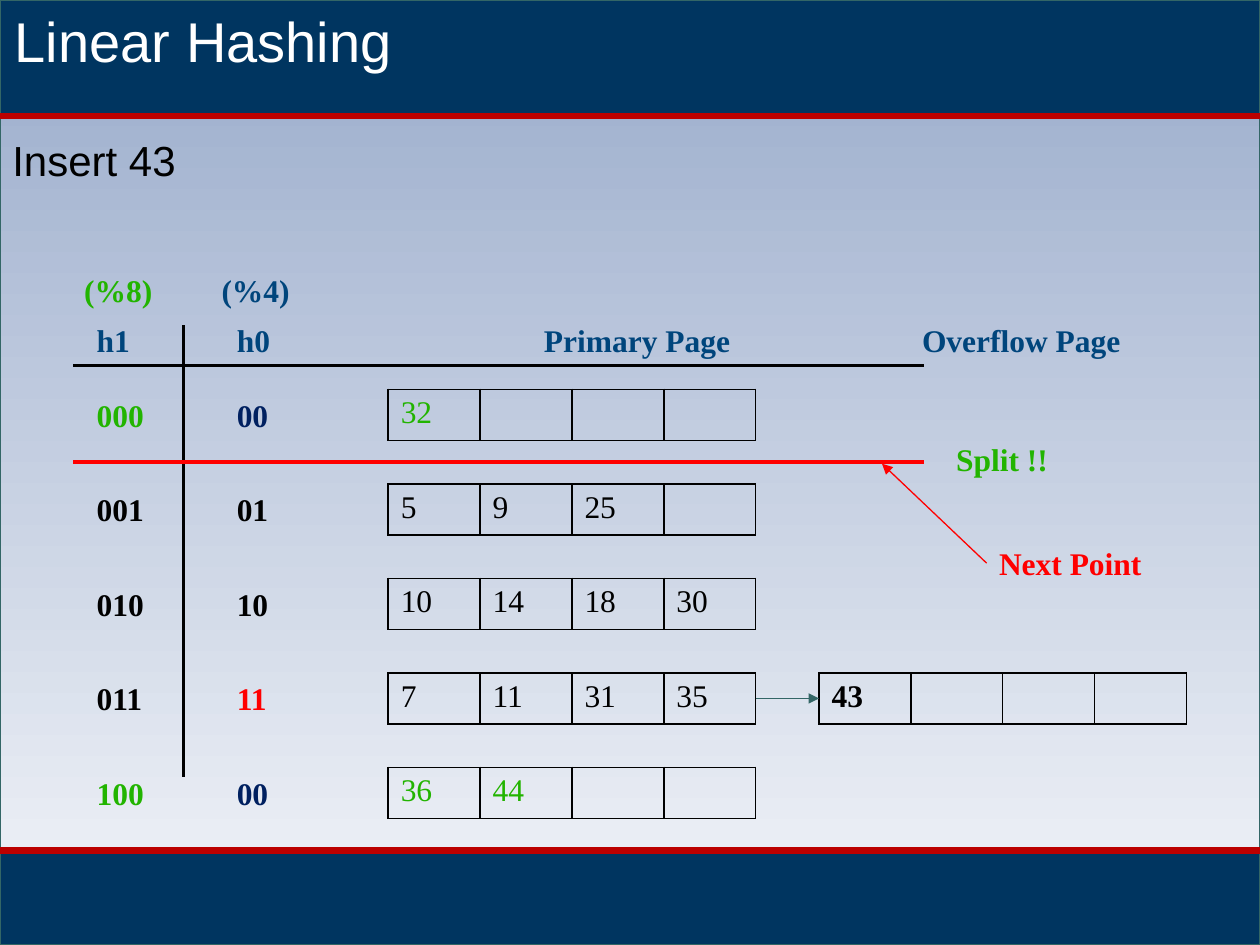
from pptx import Presentation
from pptx.util import Pt
from pptx.dml.color import RGBColor
from pptx.enum.shapes import MSO_SHAPE as Shape, MSO_CONNECTOR as Conn
from pptx.enum.text import MSO_AUTO_SIZE as Auto
from pptx.oxml import parse_xml
from pptx.oxml.ns import nsdecls

NAVY, RULE, EDGE = "003560", "BC0000", "336666"
BLACK, RED, GREEN, BLUE, DEEP = "000000", "FF0000", "22B400", "00457C", "002060"
SERIF, SANS = "Times New Roman", "Arial"

# Content: h1, colour, h0, colour, page keys, colour
BUCKETS = [
    ("000", GREEN, "00", DEEP, ["32"], GREEN),
    ("001", BLACK, "01", BLACK, ["5", "9", "25"], BLACK),
    ("010", BLACK, "10", BLACK, ["10", "14", "18", "30"], BLACK),
    ("011", BLACK, "11", RED, ["7", "11", "31", "35"], BLACK),
    ("100", GREEN, "00", DEEP, ["36", "44"], GREEN),
]
OVER_ROW, OVER_KEYS = 3, ["43"]
# Labels: text, left, top, width, colour
LABELS = [
    ("(%8)", 41, 151.2, 54, GREEN),
    ("(%4)", 119.5, 151.2, 54, BLUE),
    ("h1", 48.2, 180, 34, BLUE),
    ("h0", 128.2, 180, 34, BLUE),
    ("Primary Page", 303.8, 180, 122.4, BLUE),
    ("Overflow Page", 519.8, 180, 133.2, BLUE),
    ("Split !!", 539.3, 247.7, 67.7, GREEN),
    ("Next Point", 563.8, 307.4, 96.5, RED),
]

# Grid
WIDE, HIGH = 720, 540
HEAD, FOOT = 66.2, 486
H1, H0, PAGE, OVER = 48.2, 128.2, 221.8, 468
TOP, STEP = 222.5, 54
SLOTS, CELL, TALL = 4, 52.5, 29.2

prs = Presentation()
prs.slide_width, prs.slide_height = Pt(WIDE), Pt(HIGH)
slide = prs.slides.add_slide(prs.slide_layouts[6])
shapes = slide.shapes


def color(code):
    return RGBColor.from_string(code)


def style(para, text, size=18, font=SERIF, ink=BLACK, bold=False):
    run = para.add_run()
    run.text = text
    run.font.size, run.font.name, run.font.bold = Pt(size), font, bold
    run.font.color.rgb = color(ink)


def write(text, x, y, w, h=28.8, wrap=False, **form):
    frame = shapes.add_textbox(Pt(x), Pt(y), Pt(w), Pt(h)).text_frame
    frame.word_wrap = wrap
    frame.auto_size = Auto.SHAPE_TO_FIT_TEXT
    style(frame.paragraphs[0], text, **form)


def band(y, h, fill=None):
    box = shapes.add_shape(Shape.RECTANGLE, 0, Pt(y), Pt(WIDE), Pt(h))
    box.shadow.inherit = False
    box.line.color.rgb, box.line.width = color(EDGE), Pt(0.75)
    if fill:
        box.fill.solid()
        box.fill.fore_color.rgb = color(fill)
    else:
        box.fill.gradient()
        box.fill.gradient_angle = 270
        for stop, code, place in zip(box.fill.gradient_stops, ("99ABCB", "F3F5F9"), (0, 1)):
            stop.color.rgb, stop.position = color(code), place


def line(x1, y1, x2, y2, ink, width, arrow=False):
    conn = shapes.add_connector(Conn.STRAIGHT, Pt(x1), Pt(y1), Pt(x2), Pt(y2))
    conn.line.color.rgb, conn.line.width = color(ink), Pt(width)
    if arrow:
        conn.line._get_or_add_ln().append(
            parse_xml(f'<a:tailEnd {nsdecls("a")} type="triangle"/>'))
    conn._element.spPr.append(parse_xml(f'<a:effectLst {nsdecls("a")}/>'))


def page(keys, x, y, **form):
    frame = shapes.add_table(1, SLOTS, Pt(x), Pt(y), Pt(SLOTS * CELL), Pt(TALL))
    table = frame.table
    table.first_row = table.horz_banding = False
    for i in range(SLOTS):
        table.columns[i].width = Pt(CELL)
        cell = table.cell(0, i)
        props = cell._tc.get_or_add_tcPr()
        for side in "LRTB":
            props.append(parse_xml(
                f'<a:ln{side} {nsdecls("a")} w="{Pt(1)}"><a:solidFill>'
                f'<a:srgbClr val="{BLACK}"/></a:solidFill></a:ln{side}>'))
        cell.fill.background()
        if i < len(keys):
            style(cell.text_frame.paragraphs[0], keys[i], **form)
        else:
            cell.text_frame.paragraphs[0].font.size = Pt(18)


# Backdrop and bands
band(0, HIGH)
band(FOOT, HIGH - FOOT, NAVY)
band(0, HEAD, NAVY)
for y in (HEAD, FOOT):
    line(0, y, WIDE, y, RULE, 3.75)

# Titles
write("Linear Hashing", 1.4, 0, 718.6, 46, wrap=True, size=32, font=SANS, ink="FFFFFF")
write("Insert 43", 0, 73.4, 642, 36, wrap=True, size=24, font=SANS)

# Axes and split line
line(105, 185.8, 105, 444, BLACK, 1.75)
line(42, 208.8, 528, 208.8, BLACK, 2)
line(42, 264, 528, 264, RED, 2)

# Labels
for text, x, y, w, ink in LABELS:
    write(text, x, y, w, ink=ink, bold=True)

# Buckets
for row, (one, ink1, zero, ink0, keys, ink) in enumerate(BUCKETS):
    y = TOP + row * STEP
    write(one, H1, y, 41.8, ink=ink1, bold=True)
    write(zero, H0, y, 32.4, ink=ink0, bold=True)
    page(keys, PAGE, y, ink=ink)

# Overflow page and pointers
y = TOP + OVER_ROW * STEP
page(OVER_KEYS, OVER, y, bold=True)
line(PAGE + SLOTS * CELL, y + TALL / 2, OVER, y + TALL / 2, EDGE, 0.75, arrow=True)
line(563.8, 321.8, 504, 265, RED, 0.75, arrow=True)

prs.save("out.pptx")
